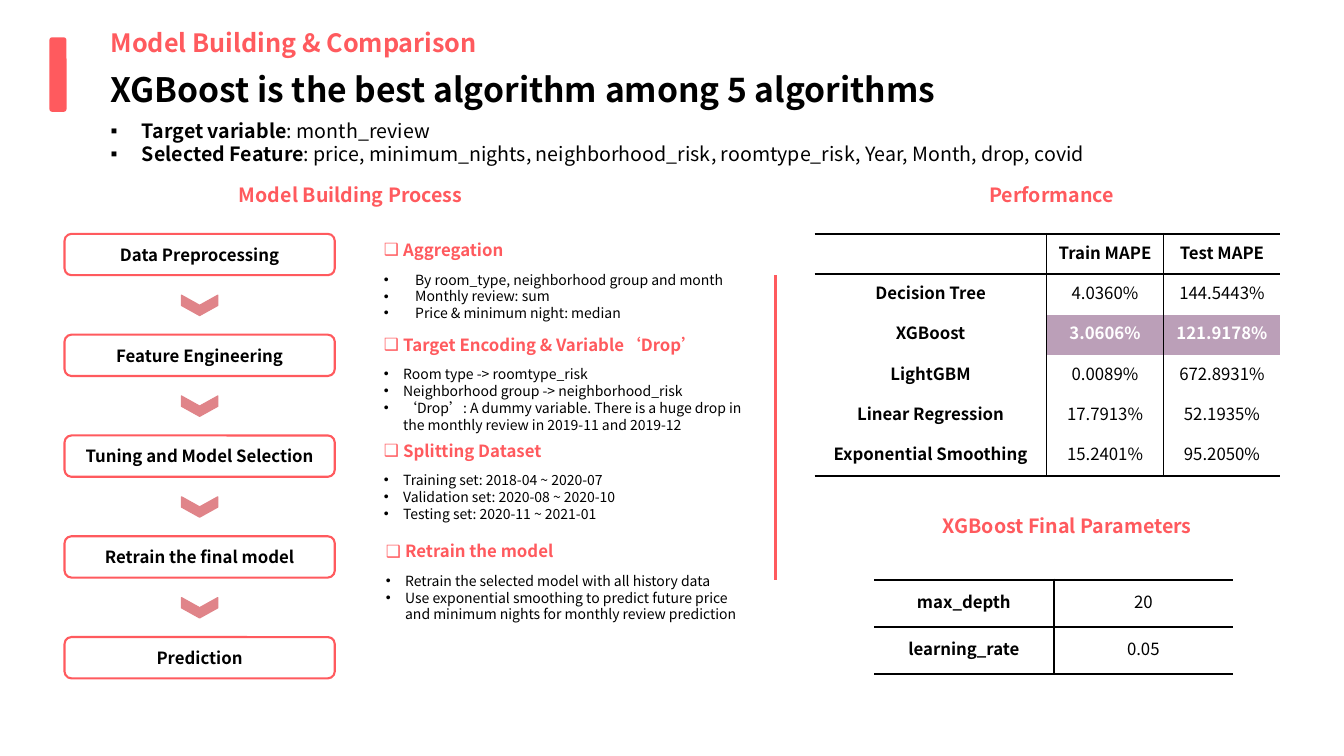
import pptx
import pptx.util
import pptx.dml.color
import pptx.enum.shapes
import pptx.enum.text
import pptx.oxml
import pptx.oxml.ns

Inches = pptx.util.Inches
Pt = pptx.util.Pt
SHAPES = pptx.enum.shapes.MSO_SHAPE
ALIGN = pptx.enum.text.PP_ALIGN
MIDDLE = pptx.enum.text.MSO_ANCHOR.MIDDLE

THEME = {
    "font": "Noto Sans CJK SC",
    "accent": "FF5A5E", "arrow": "E08489", "highlight": "BB9FB8",
    "ink": "000000", "white": "FFFFFF",
    "title": 24, "kicker": 18, "section": 14, "label": 12, "detail": 10,
    "line_height": 1.2, "rule": 1.5, "divider": 2.25,
}

HEADINGS = [
    ("Model Building & Comparison", (1, 0.22, 9.44, 0.4), "kicker", "accent", ALIGN.LEFT),
    ("XGBoost is the best algorithm among 5 algorithms", (1, 0.63, 9.95, 0.5), "title", "ink", ALIGN.LEFT),
    ("Model Building Process", (1.73, 1.77, 3.5, 0.34), "section", "accent", ALIGN.CENTER),
    ("Performance", (9.13, 1.77, 2.6, 0.34), "section", "accent", ALIGN.CENTER),
    ("XGBoost Final Parameters", (8.67, 5.05, 3.83, 0.34), "section", "accent", ALIGN.CENTER),
]
SUMMARY = [
    [("Target variable", True), (": month_review", False)],
    [("Selected Feature", True),
     (": price, minimum_nights, neighborhood_risk, roomtype_risk, Year, Month, drop, covid", False)],
]
STEPS = ["Data Preprocessing", "Feature Engineering", "Tuning and Model Selection",
         "Retrain the final model", "Prediction"]
DETAILS = [
    ("Aggregation", 3.71, 2.33, 0.31, [
        "By room_type, neighborhood group and month",
        "Monthly review: sum",
        "Price & minimum night: median"]),
    ("Target Encoding & Variable‘Drop’", 3.71, 3.27, 0.19, [
        "Room type -> roomtype_risk",
        "Neighborhood group -> neighborhood_risk",
        "‘Drop’: A dummy variable. There is a huge drop in the monthly review in 2019-11 and 2019-12"]),
    ("Splitting Dataset", 3.71, 4.32, 0.19, [
        "Training set: 2018-04 ~ 2020-07",
        "Validation set: 2020-08 ~ 2020-10",
        "Testing set: 2020-11 ~ 2021-01"]),
    ("Retrain the model", 3.73, 5.32, 0.19, [
        "Retrain the selected model with all history data",
        "Use exponential smoothing to predict future price and minimum nights for monthly review prediction"]),
]
PERFORMANCE = [
    ("", "Train MAPE", "Test MAPE"),
    ("Decision Tree", "4.0360%", "144.5443%"),
    ("XGBoost", "3.0606%", "121.9178%"),
    ("LightGBM", "0.0089%", "672.8931%"),
    ("Linear Regression", "17.7913%", "52.1935%"),
    ("Exponential Smoothing", "15.2401%", "95.2050%"),
]
BEST_ROW = 2
PARAMETERS = [("max_depth", "20"), ("learning_rate", "0.05")]


def color(name):
    return pptx.dml.color.RGBColor.from_string(THEME[name])


def box(values):
    return [Inches(value) for value in values]


def apply(target, values):
    for name, value in values.items():
        setattr(target, name, value)


def write(paragraph, runs, size, ink="ink", align=ALIGN.LEFT):
    points = THEME[size]
    apply(paragraph, {"alignment": align, "line_spacing": Pt(round(points * THEME["line_height"], 1))})
    for text, bold in runs:
        run = paragraph.add_run()
        run.text = text
        apply(run.font, {"name": THEME["font"], "size": Pt(points), "bold": bold})
        run.font.color.rgb = color(ink)
        east_asian = pptx.oxml.parse_xml(
            f'<a:ea {pptx.oxml.ns.nsdecls("a")} typeface="{THEME["font"]}"/>')
        run.font._element.find(pptx.oxml.ns.qn("a:latin")).addnext(east_asian)


def add_bullet(paragraph, character, indent):
    properties = paragraph._p.get_or_add_pPr()
    properties.set("marL", str(Inches(indent)))
    properties.set("indent", str(-Inches(indent)))
    for markup in ('buFont {} typeface="Arial"', f'buChar {{}} char="{character}"'):
        properties.append(pptx.oxml.parse_xml(f'<a:{markup.format(pptx.oxml.ns.nsdecls("a"))}/>'))


def add_text(slide, place, lines, size, ink="ink", align=ALIGN.LEFT, bullet=None, indent=0):
    frame = slide.shapes.add_textbox(*box(place)).text_frame
    frame.word_wrap = True
    for index, runs in enumerate(lines):
        paragraph = frame.add_paragraph() if index else frame.paragraphs[0]
        write(paragraph, runs, size, ink, align)
        if bullet:
            add_bullet(paragraph, bullet, indent)


def add_shape(slide, kind, place, fill=None, line=None, width=1):
    shape = slide.shapes.add_shape(kind, *box(place))
    shape.shadow.inherit = False
    if fill:
        shape.fill.solid()
        shape.fill.fore_color.rgb = color(fill)
    else:
        shape.fill.background()
    if line:
        shape.line.color.rgb = color(line)
        shape.line.width = Pt(width)
    else:
        shape.line.fill.background()
    return shape


def set_borders(cell, sides):
    properties = cell._tc.get_or_add_tcPr()
    for index, side in enumerate("LRTB"):
        paint = (f'<a:solidFill><a:srgbClr val="{THEME["ink"]}"/></a:solidFill>'
                 if side in sides else "<a:noFill/>")
        properties.insert(index, pptx.oxml.parse_xml(
            f'<a:ln{side} {pptx.oxml.ns.nsdecls("a")} w="{Pt(THEME["rule"])}">{paint}</a:ln{side}>'))


def add_grid(slide, left, top, widths, row_height, rows, rules, header=False, best=None, margin=None):
    table = slide.shapes.add_table(
        len(rows), len(widths), *box((left, top, sum(widths), row_height * len(rows)))).table
    apply(table, {"first_row": False, "horz_banding": False})
    for column, width in zip(table.columns, widths):
        column.width = Inches(width)
    for row_index, values in enumerate(rows):
        table.rows[row_index].height = Inches(row_height)
        for column_index, value in enumerate(values):
            cell = table.cell(row_index, column_index)
            cell.vertical_anchor = MIDDLE
            if margin is not None:
                apply(cell, {f"margin_{side}": Inches(margin) for side in ("left", "right", "top", "bottom")})
            winner = row_index == best and column_index > 0
            bold = column_index == 0 or winner or (header and row_index == 0)
            write(cell.text_frame.paragraphs[0], [(value, bold)] if value else [], "label",
                  "white" if winner else "ink", ALIGN.CENTER)
            if winner:
                cell.fill.solid()
                cell.fill.fore_color.rgb = color("highlight")
            else:
                cell.fill.background()
            sides = {"L": column_index > 0, "R": column_index < len(widths) - 1,
                     "T": row_index in rules, "B": row_index + 1 in rules}
            set_borders(cell, [side for side, drawn in sides.items() if drawn])


def add_process(slide):
    for index, step in enumerate(STEPS):
        top = 2.32 + index
        frame = add_shape(slide, SHAPES.ROUNDED_RECTANGLE, (0.64, top, 2.68, 0.41),
                          line="accent", width=THEME["rule"]).text_frame
        apply(frame, {"vertical_anchor": MIDDLE, "word_wrap": True})
        write(frame.paragraphs[0], [(step, True)], "label", align=ALIGN.CENTER)
        if index < len(STEPS) - 1:
            add_shape(slide, SHAPES.CHEVRON, (1.88, top + 0.53, 0.2, 0.36), "arrow", "arrow").rotation = 90


def add_details(slide):
    for heading, left, top, indent, lines in DETAILS:
        add_text(slide, (left, top, 3.81, 0.3), [[(heading, True)]], "label", "accent",
                 bullet="❑", indent=0.19)
        add_text(slide, (left, top + 0.31, 3.81, 0.61), [[(line, False)] for line in lines], "detail",
                 bullet="•", indent=indent)


def add_divider(slide):
    line = slide.shapes.add_connector(
        pptx.enum.shapes.MSO_CONNECTOR.STRAIGHT, *box((7.69, 2.73, 7.69, 5.75)))
    line.line.color.rgb = color("accent")
    line.line.width = Pt(THEME["divider"])
    line._element.spPr.append(pptx.oxml.parse_xml(f'<a:effectLst {pptx.oxml.ns.nsdecls("a")}/>'))


def main():
    presentation = pptx.Presentation()
    apply(presentation, {"slide_width": Inches(13.33), "slide_height": Inches(7.5)})
    slide = presentation.slides.add_slide(presentation.slide_layouts[6])
    add_shape(slide, SHAPES.ROUNDED_RECTANGLE, (0.49, 0.37, 0.17, 0.74), "accent")
    for text, place, size, ink, align in HEADINGS:
        add_text(slide, place, [[(text, True)]], size, ink, align)
    add_text(slide, (1, 1.13, 11.76, 0.57), SUMMARY, "section", bullet="▪", indent=0.31)
    add_process(slide)
    add_details(slide)
    add_divider(slide)
    add_grid(slide, 8.08, 2.32, (2.3, 1.16, 1.16), 0.4, PERFORMANCE, (0, 1, len(PERFORMANCE)),
             header=True, best=BEST_ROW, margin=0.01)
    add_grid(slide, 8.67, 5.75, (1.78, 1.78), 0.47, PARAMETERS, (0, 1, 2))
    presentation.save("out.pptx")


if __name__ == "__main__":
    main()
